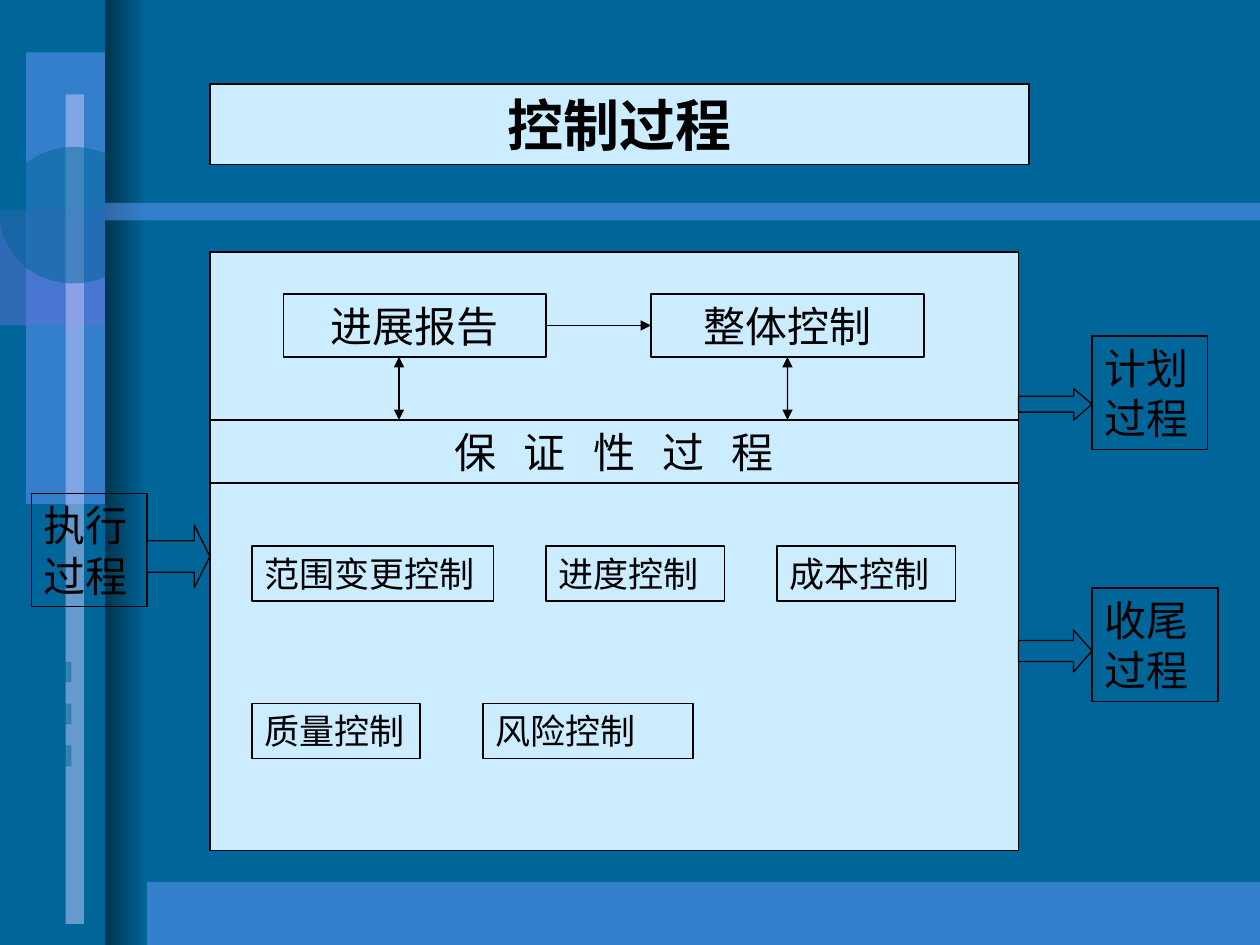
"""Builds the control-process slide on a grid of 120 columns by 90 rows."""
from pptx import Presentation
from pptx.dml.color import RGBColor
from pptx.enum.shapes import MSO_CONNECTOR, MSO_SHAPE as SHAPE
from pptx.enum.text import MSO_ANCHOR, MSO_AUTO_SIZE, PP_ALIGN
from pptx.oxml.ns import qn
from pptx.util import Inches, Pt
from lxml.etree import SubElement

COLORS = {
    "ground": "006699", "bar": "6699FF", "block": "5E6FD4",
    "stripe": "CCCCFF", "shade": "00354E", "panel": "CCECFF", "ink": "000000",
}
FONT = "Times New Roman"


def rgb(name):
    return RGBColor.from_string(COLORS[name])


def grid(*cells):
    return [Inches(c / 12) for c in cells]


def outline(sp):
    sp.line.color.rgb = rgb("ink")
    sp.line.width = Pt(0.75)


def add_block(slide, cells, color=None, alpha=None, kind=SHAPE.RECTANGLE, line=False):
    sp = slide.shapes.add_shape(kind, *grid(*cells))
    sp.shadow.inherit = False
    if color:
        sp.fill.solid()
        sp.fill.fore_color.rgb = rgb(color)
    else:
        sp.fill.background()
    if alpha:
        clr = sp.element.spPr.find(".//" + qn("a:srgbClr"))
        SubElement(clr, qn("a:alpha"), val=str(alpha * 1000))
    if line:
        outline(sp)
    else:
        sp.line.fill.background()
    return sp


def write(sp, text, size, align=PP_ALIGN.LEFT, bold=False, spread=0):
    tf = sp.text_frame
    tf.word_wrap = True
    tf.auto_size = MSO_AUTO_SIZE.NONE
    tf.vertical_anchor = MSO_ANCHOR.TOP
    p = tf.paragraphs[0]
    p.alignment = align
    p.font.name, p.font.size, p.font.bold = FONT, Pt(size), bold
    p.font.color.rgb = rgb("ink")
    r = p.add_run()
    r.text = text
    if spread:
        r.font._element.set("spc", str(int(spread * 100)))


def add_box(slide, text, cells, size, align=PP_ALIGN.LEFT, spread=0):
    sp = add_block(slide, cells, line=True)
    write(sp, text, size, align, spread=spread)
    return sp


def add_line(slide, start, end, both=False):
    cx = slide.shapes.add_connector(MSO_CONNECTOR.STRAIGHT, *grid(*start, *end))
    outline(cx)
    ln = cx.line._get_or_add_ln()
    if both:
        SubElement(ln, qn("a:headEnd"), type="triangle")
    SubElement(ln, qn("a:tailEnd"), type="triangle")
    SubElement(cx.element.spPr, qn("a:effectLst"))
    return cx


def add_arrow(slide, cells, head):
    sp = add_block(slide, cells, "ground", kind=SHAPE.RIGHT_ARROW, line=True)
    sp.adjustments[0], sp.adjustments[1] = 0.5, head


def add_decoration(slide):
    half = 50
    add_block(slide, (10, 84, 110, 6), "bar", half)
    add_block(slide, (2.5, 5, 7.5, 43), "bar", half)
    add_block(slide, (0, 20, 10, 11), "block", half)
    add_block(slide, (6.25, 9, 1.75, 79), "stripe", half)
    for row in range(63, 72, 4):
        add_block(slide, (0, row, 6.8, 2), "ground", half)
    add_block(slide, (0, 14, 14, 13), "ground", half, SHAPE.OVAL)
    spine = add_block(slide, (10, 0, 4, 90), "ground")
    spine.fill.gradient()
    spine.fill.gradient_angle = 0
    for stop, name in zip(spine.fill.gradient_stops, ("shade", "ground")):
        stop.color.rgb = rgb(name)
    add_block(slide, (10, 19.33, 110, 1.67), "bar", half)


def add_title(slide, text):
    sp = slide.shapes.title
    sp.left, sp.top, sp.width, sp.height = grid(20, 8, 78, 7.65)
    sp.fill.solid()
    sp.fill.fore_color.rgb = rgb("panel")
    outline(sp)
    write(sp, text, 32, PP_ALIGN.CENTER, bold=True)


def add_control_panel(slide):
    add_block(slide, (20, 24, 77, 57), "panel", line=True)
    report = add_box(slide, "进展报告", (27, 28, 25, 6), 24, PP_ALIGN.CENTER)
    overall = add_box(slide, "整体控制", (62, 28, 26, 6), 24, PP_ALIGN.CENTER)
    add_box(slide, "保 证 性 过 程", (20, 40, 77, 6), 24, PP_ALIGN.CENTER, spread=5.1)
    for text, col, row, width in (
        ("范围变更控制", 24, 52, 23), ("进度控制", 52, 52, 17), ("成本控制", 74, 52, 17),
        ("质量控制", 24, 67, 16), ("风险控制", 46, 67, 20),
    ):
        add_box(slide, text, (col, row, width, 5.25), 20)
    link = add_line(slide, (52, 31), (62, 31))
    link.begin_connect(report, 3)
    link.end_connect(overall, 1)
    add_line(slide, (38, 34), (38, 40), both=True)
    add_line(slide, (75, 34), (75, 40), both=True).begin_connect(overall, 2)


def add_neighbours(slide):
    for text, col, row, width in (
        ("计划过程", 104, 32, 11), ("收尾过程", 104, 56, 12), ("执行过程", 3, 47, 11),
    ):
        add_box(slide, text, (col, row, width, 10.8), 24)
    add_arrow(slide, (14, 50, 6, 6), 0.25)
    add_arrow(slide, (97, 37, 7, 3), 0.58)
    add_arrow(slide, (97, 60, 7, 4), 0.44)


def main():
    prs = Presentation()
    prs.slide_width, prs.slide_height = grid(120, 90)
    slide = prs.slides.add_slide(prs.slide_layouts[5])
    slide.background.fill.solid()
    slide.background.fill.fore_color.rgb = rgb("ground")
    add_decoration(slide)
    add_title(slide, "控制过程")
    add_control_panel(slide)
    add_neighbours(slide)
    prs.save("out.pptx")


if __name__ == "__main__":
    main()
